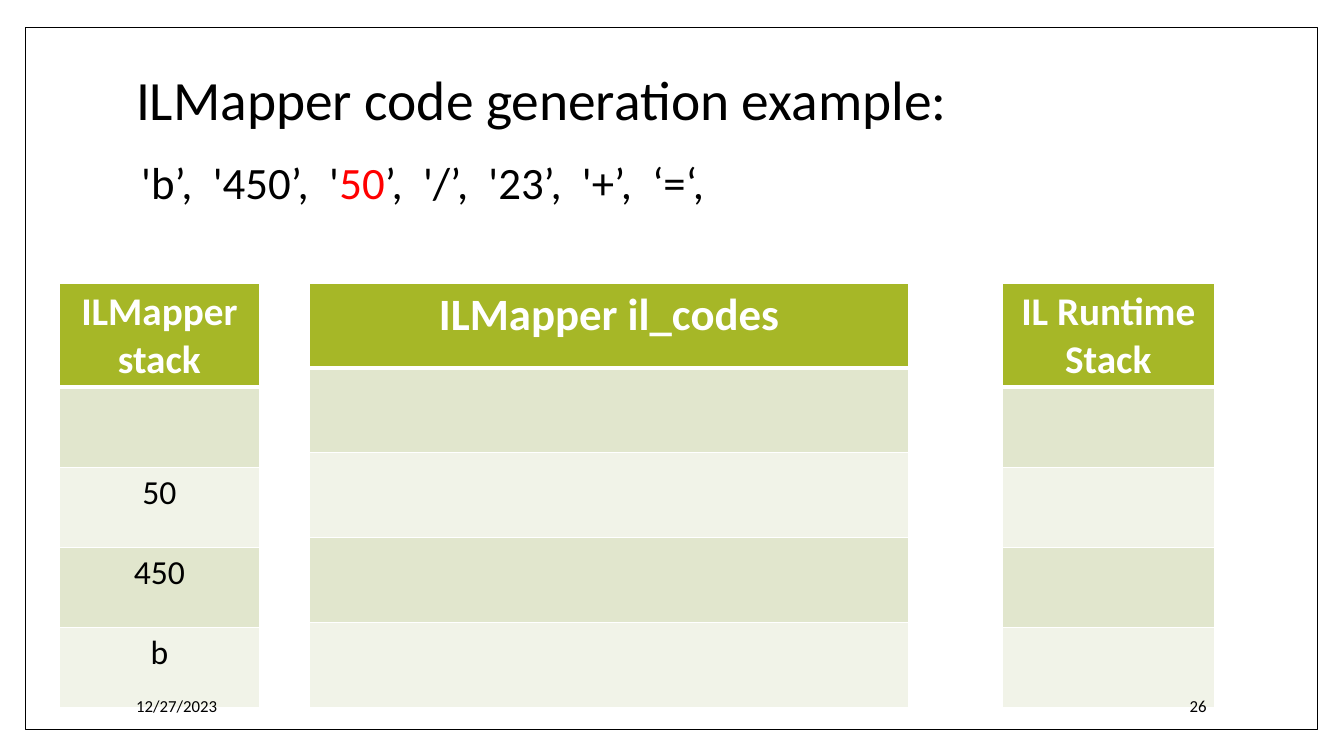
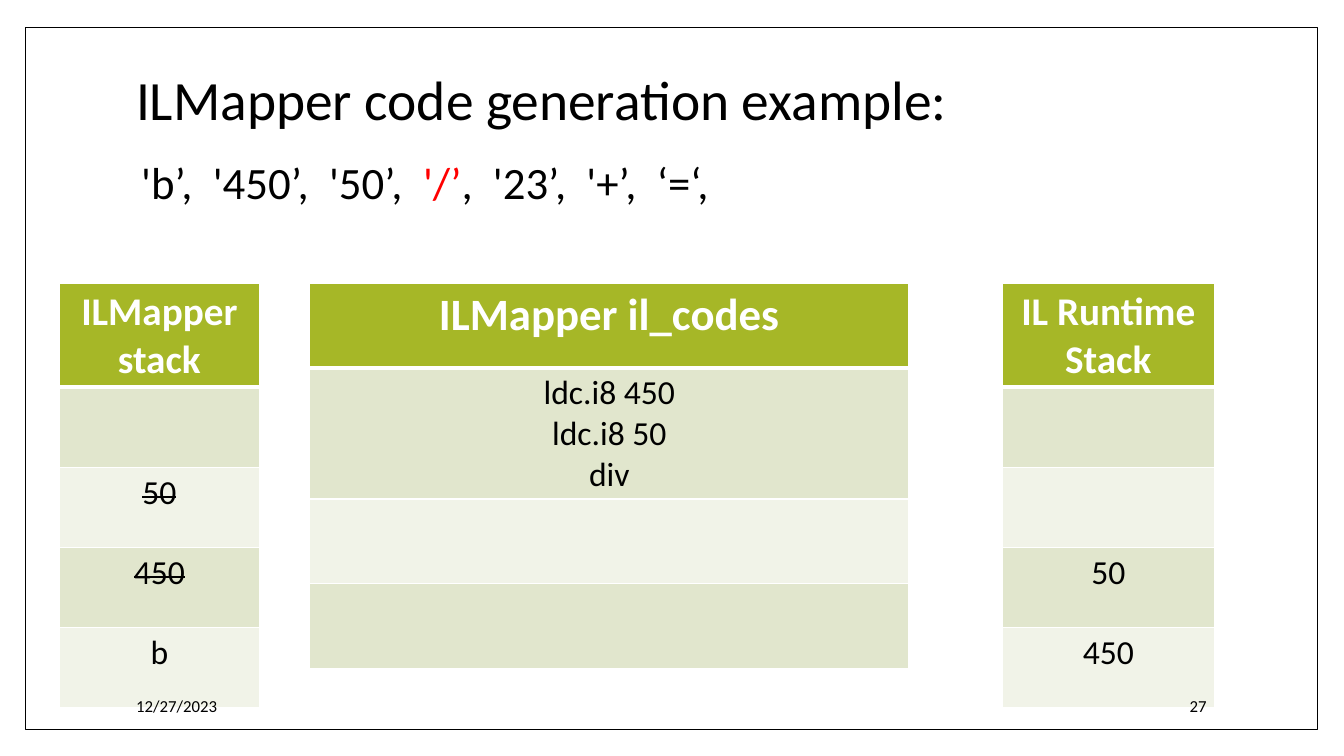
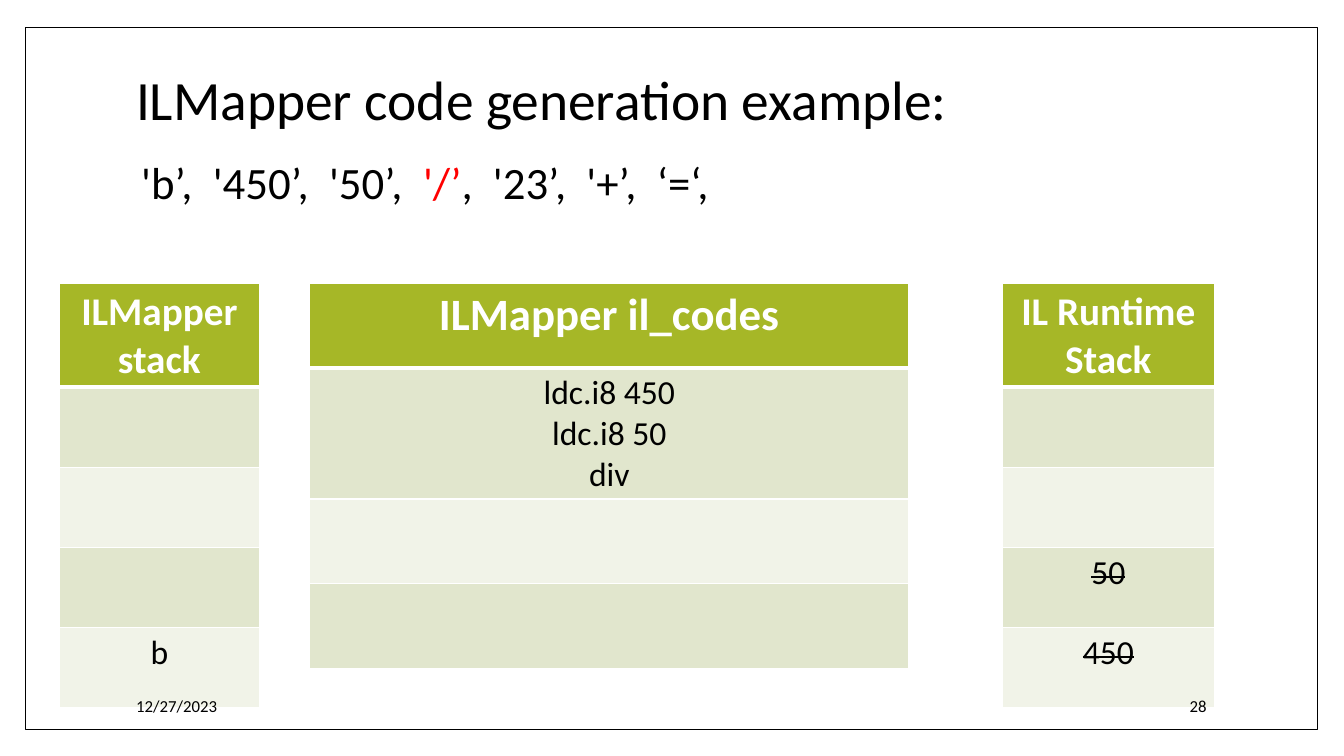
from lxml.etree import SubElement
from pptx import Presentation
from pptx.dml.color import RGBColor
from pptx.enum.shapes import MSO_SHAPE
from pptx.enum.text import MSO_ANCHOR, PP_ALIGN
from pptx.oxml.ns import qn
from pptx.util import Cm, Pt

STACK_ROW, CODE_ROW = 2.02, 2.14
DIVISION = "ldc.i8 450\nldc.i8 50\ndiv"
DIVIDE_STEP = ("'b’,  '450’,  '50’,  ", "'/’", ",  '23’,  '+’,  ‘=‘,")

STEPS = [
    {"number": 26, "tokens": ("'b’,  '450’,  '", "50", "’,  '/’,  '23’,  '+’,  ‘=‘,"),
     "mapper": ["", "50", "450", "b"], "codes": [""] * 4, "runtime": [""] * 4,
     "struck": {}},
    {"number": 27, "tokens": DIVIDE_STEP,
     "mapper": ["", "50", "450", "b"], "codes": [DIVISION, "", ""],
     "runtime": ["", "", "50", "450"], "struck": {"mapper": {"50", "450"}}},
    {"number": 28, "tokens": DIVIDE_STEP,
     "mapper": ["", "", "", "b"], "codes": [DIVISION, "", ""],
     "runtime": ["", "", "50", "450"], "struck": {"runtime": {"50", "450"}}},
]


def color(value):
    return RGBColor.from_string(value)


class Deck:
    """Builds slides that share one style."""

    FONT = "Calibri"
    BLACK, WHITE, RED = "000000", "FFFFFF", "FF0000"
    HEADER, BANDS = "A6B727", ("E1E6CD", "F1F3E8")
    TABLE_TOP = 7.13

    def __init__(self):
        self.presentation = Presentation()
        self.presentation.slide_width = Cm(33.87)
        self.presentation.slide_height = Cm(19.05)
        self.slide = None

    def add_slide(self):
        self.slide = self.presentation.slides.add_slide(self.presentation.slide_layouts[6])
        self.frame()
        self.title("ILMapper code generation example:")

    def frame(self):
        shape = self.slide.shapes.add_shape(
            MSO_SHAPE.RECTANGLE, Cm(0.64), Cm(0.69), Cm(32.56), Cm(17.7))
        shape.shadow.inherit = False
        shape.fill.solid()
        shape.fill.fore_color.rgb = color(self.WHITE)
        shape.line.color.rgb = color(self.BLACK)
        shape.line.width = Pt(1)

    def footer(self, number):
        self.text("12/27/2023", 3.18, 17.28, 6.48, 1.02, 12)
        self.text(str(number), 25.91, 17.28, 4.75, 1.02, 12).alignment = PP_ALIGN.RIGHT

    def style(self, paragraph, size, ink, bold=False):
        font = paragraph.font
        font.name, font.size, font.bold = self.FONT, Pt(size), bold
        font.color.rgb = color(ink)

    def text(self, text, left, top, width, height, size,
             anchor=MSO_ANCHOR.MIDDLE, inset=0.25):
        shape = self.slide.shapes.add_textbox(Cm(left), Cm(top), Cm(width), Cm(height))
        text_frame = shape.text_frame
        text_frame.word_wrap = True
        text_frame.vertical_anchor = anchor
        text_frame.margin_left = Cm(inset)
        paragraph = text_frame.paragraphs[0]
        paragraph.text = text
        self.style(paragraph, size, self.BLACK)
        return paragraph

    def title(self, text):
        self.text(text, 3.18, 1.7, 27.43, 1.78, 39.6).line_spacing = 0.9

    def tokens(self, before, current, after):
        paragraph = self.text(before, 3.18, 3.92, 20.29, 2.9, 32, MSO_ANCHOR.TOP, 0.38)
        paragraph.line_spacing = 0.9
        for text, ink in ((current, self.RED), (after, self.BLACK)):
            run = paragraph.add_run()
            run.text = text
            run.font.color.rgb = color(ink)

    def borders(self, cell, top, bottom):
        properties = cell._tc.get_or_add_tcPr()
        for edge, width in (("lnL", 1), ("lnR", 1), ("lnT", top), ("lnB", bottom)):
            line = SubElement(properties, qn(f"a:{edge}"), w=str(Pt(width)))
            fill = SubElement(line, qn("a:solidFill"))
            SubElement(fill, qn("a:srgbClr"), val=self.WHITE)

    def column(self, header, entries, left, width, row_height, header_size, struck=()):
        rows = [header, *entries]
        table = self.slide.shapes.add_table(
            len(rows), 1, Cm(left), Cm(self.TABLE_TOP),
            Cm(width), Cm(row_height * len(rows))).table
        table.horz_banding = False
        for index, text in enumerate(rows):
            is_header = index == 0
            table.rows[index].height = Cm(row_height)
            cell = table.cell(index, 0)
            self.borders(cell, 3 if index == 1 else 1, 3 if is_header else 1)
            cell.fill.solid()
            cell.fill.fore_color.rgb = color(
                self.HEADER if is_header else self.BANDS[(index - 1) % 2])
            cell.text = text
            for paragraph in cell.text_frame.paragraphs:
                paragraph.alignment = PP_ALIGN.CENTER
                self.style(paragraph, header_size if is_header else 24,
                           self.WHITE if is_header else self.BLACK, is_header)
                if text in struck:
                    for run in paragraph.runs:
                        run._r.get_or_add_rPr().set("strike", "sngStrike")


def main():
    deck = Deck()
    for step in STEPS:
        struck = step["struck"]
        deck.add_slide()
        deck.tokens(*step["tokens"])
        deck.column("ILMapper\nstack", step["mapper"], 1.5, 5.03, STACK_ROW, 28,
                    struck.get("mapper", ()))
        deck.column("IL Runtime Stack", step["runtime"], 25.25, 5.36, STACK_ROW, 28,
                    struck.get("runtime", ()))
        deck.column("ILMapper il_codes", step["codes"], 7.8, 15.11, CODE_ROW, 32)
        deck.footer(step["number"])
    deck.presentation.save("out.pptx")


if __name__ == "__main__":
    main()
